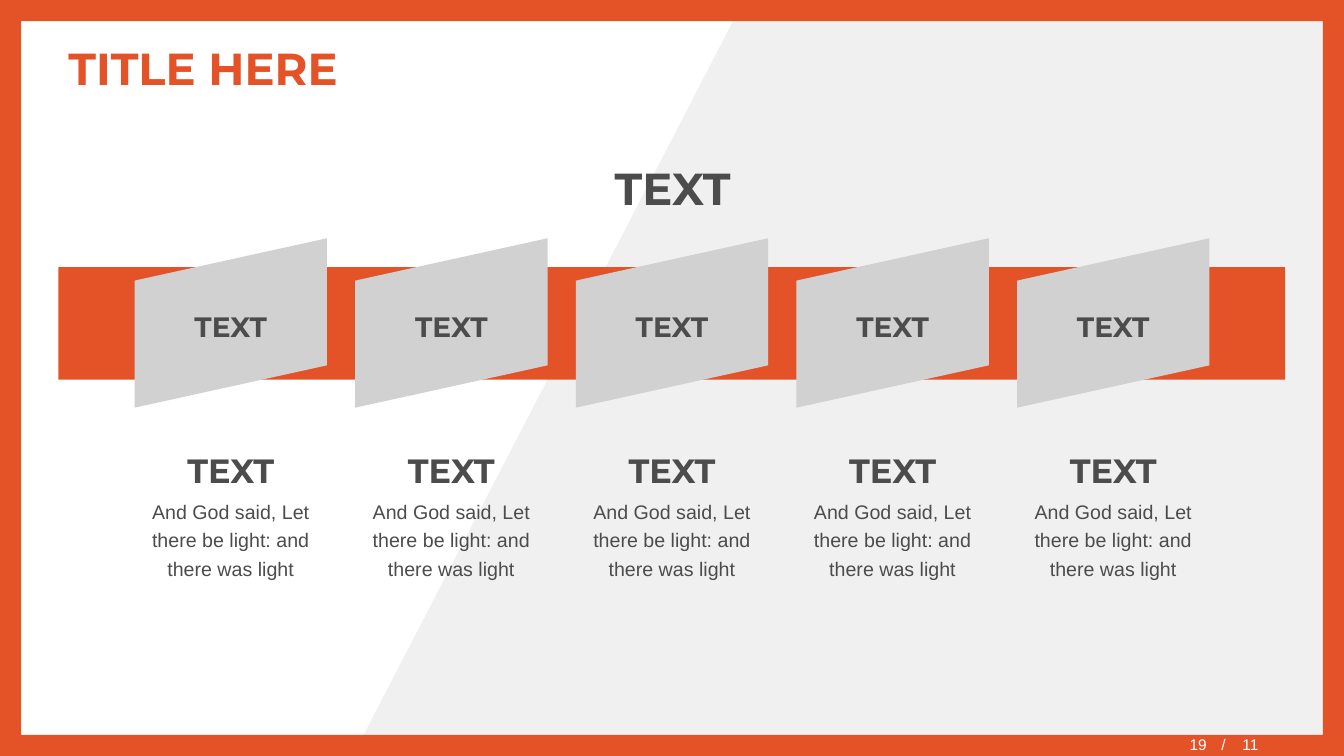
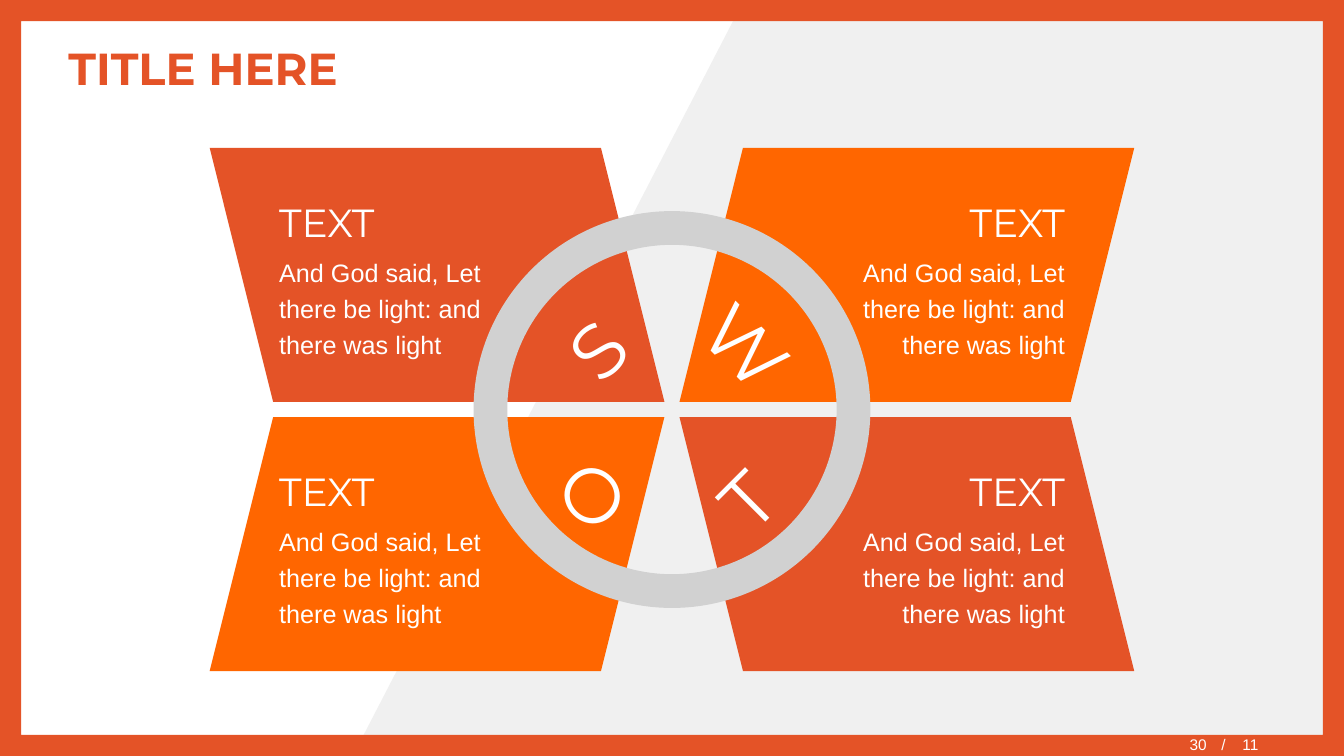
from dataclasses import dataclass
from typing import NamedTuple

from lxml.etree import SubElement
from pptx import Presentation
from pptx.dml.color import RGBColor
from pptx.enum.shapes import MSO_SHAPE
from pptx.enum.text import MSO_ANCHOR, MSO_AUTO_SIZE, PP_ALIGN
from pptx.oxml.ns import qn
from pptx.presentation import Presentation as Deck
from pptx.shapes.autoshape import Shape
from pptx.slide import Slide, SlideLayout
from pptx.text.text import TextFrame, _Paragraph
from pptx.util import Cm, Pt

COLORS = {
    "brand": "E45327",
    "orange": "FF6600",
    "silver": "D1D1D1",
    "mist": "F0F0F0",
    "ink": "4C4C4C",
    "white": "FFFFFF",
}
HEADING_FONT = "Montserrat"
BODY_FONT = "Arial"
VERSE = "And God said, Let there be light: and there was light"

# Shared measures, in centimetres
PAGE_WIDTH, PAGE_HEIGHT = 33.87, 19.05
CENTER_X = PAGE_WIDTH / 2
MARGIN = 1.47


class Box(NamedTuple):
    left: float
    top: float
    width: float
    height: float


@dataclass(frozen=True)
class Style:
    size: int
    color: str
    font: str = HEADING_FONT
    bold: bool = False


@dataclass(frozen=True)
class Line:
    text: str
    style: Style


@dataclass(frozen=True)
class Quadrant:
    letter: str
    letter_box: Box
    letter_angle: int
    color: str
    right: bool
    bottom: bool


TITLE = Style(32, "brand", bold=True)
PAGE_NUMBER = Style(11, "white", BODY_FONT)


# Drawing helpers
def add_span(para: _Paragraph, line: Line) -> None:
    span = para.add_run()
    span.text = line.text
    span.font.size = Pt(line.style.size)
    span.font.name = line.style.font
    span.font.bold = line.style.bold
    span.font.color.rgb = RGBColor.from_string(COLORS[line.style.color])


def write(frame: TextFrame, lines: list[Line], align: PP_ALIGN) -> None:
    for index, line in enumerate(lines):
        para = frame.add_paragraph() if index else frame.paragraphs[0]
        para.alignment = align
        para.line_spacing = 1.2
        para.space_before = Pt(2 if index else 0)
        para.space_after = Pt(2)
        add_span(para, line)


def add_text(page: Slide, box: Box, lines: list[Line], align: PP_ALIGN = PP_ALIGN.LEFT,
             wrap: bool = True, anchor: MSO_ANCHOR = MSO_ANCHOR.TOP) -> Shape:
    text_box = page.shapes.add_textbox(*map(Cm, box))
    frame = text_box.text_frame
    frame.word_wrap = wrap
    frame.auto_size = MSO_AUTO_SIZE.SHAPE_TO_FIT_TEXT
    frame.vertical_anchor = anchor
    write(frame, lines, align)
    return text_box


def paint(shape: Shape, color: str) -> None:
    shape.shadow.inherit = False
    shape.fill.solid()
    shape.fill.fore_color.rgb = RGBColor.from_string(COLORS[color])
    shape.line.fill.background()


def add_block(page: Slide, kind: MSO_SHAPE, box: Box, color: str,
              flip_h: bool = False, flip_v: bool = False) -> Shape:
    block = page.shapes.add_shape(kind, *map(Cm, box))
    paint(block, color)
    for name, flipped in (("flipH", flip_h), ("flipV", flip_v)):
        if flipped:
            block.element.spPr.xfrm.set(name, "1")
    return block


# Shared backdrop, title and page number
def dress_layout(layout: SlideLayout, page: Slide) -> None:
    """Draw the backdrop on a page, then move it behind everything in the layout."""
    outline = page.shapes.build_freeform(Cm(18.75), 0)
    outline.add_line_segments([
        (Cm(PAGE_WIDTH), 0), (Cm(PAGE_WIDTH), Cm(PAGE_HEIGHT)), (Cm(8.89), Cm(PAGE_HEIGHT)),
    ])
    wedge = outline.convert_to_shape()
    paint(wedge, "mist")
    border = add_block(page, MSO_SHAPE.FRAME, Box(0, 0, PAGE_WIDTH, PAGE_HEIGHT), "brand")
    border.adjustments[0] = 0.028
    for index, shape in enumerate((wedge, border)):
        shape.element.nvSpPr.cNvPr.set("id", str(101 + index))
        layout.shapes.element.insert(2 + index, shape.element)

    title = layout.placeholders[0]
    title.left, title.top, title.width, title.height = map(Cm, (MARGIN, 0.71, 30.94, 2.01))


def add_title(page: Slide) -> None:
    frame = page.shapes.title.text_frame
    frame.auto_size = MSO_AUTO_SIZE.NONE
    frame.vertical_anchor = MSO_ANCHOR.MIDDLE
    para = frame.paragraphs[0]
    para.alignment = PP_ALIGN.LEFT
    add_span(para, Line("TITLE HERE", TITLE))


def add_page_number(page: Slide, number: int) -> None:
    parts = (
        (Box(30.53, 18.54, 3.33, 0.46), "/\t11", PP_ALIGN.LEFT),
        (Box(24.08, 18.59, 6.58, 0.46), str(number), PP_ALIGN.RIGHT),
    )
    for box, text, align in parts:
        frame = page.shapes.add_textbox(*map(Cm, box)).text_frame
        frame.word_wrap = True
        frame.vertical_anchor = MSO_ANCHOR.MIDDLE
        para = frame.paragraphs[0]
        para.alignment = align
        if "\t" in text:
            tabs = SubElement(para._p.get_or_add_pPr(), qn("a:tabLst"))
            SubElement(tabs, qn("a:tab"), pos=str(Cm(0.53)), algn="l")
        else:
            frame.margin_top = 0
        add_span(para, Line(text, PAGE_NUMBER))


# Five panels on a band
def build_panels(page: Slide) -> None:
    count, pitch = 5, 5.56
    middle_y = 8.14
    width, height = 4.27, 4.85
    caption_width = 4.88
    centers = [CENTER_X + (index - (count - 1) / 2) * pitch for index in range(count)]
    caption = [Line("TEXT", Style(24, "ink", bold=True)),
               Line(VERSE, Style(14, "ink", BODY_FONT))]

    add_block(page, MSO_SHAPE.RECTANGLE, Box(MARGIN, 6.73, 30.92, 2.84), "brand")
    add_text(page, Box(14.6, 3.43, 4.7, 2.31), [Line("TEXT", Style(32, "ink", bold=True))],
             PP_ALIGN.CENTER, wrap=False, anchor=MSO_ANCHOR.MIDDLE)
    for center in centers:
        panel = add_block(page, MSO_SHAPE.PARALLELOGRAM,
                          Box(center - width / 2, middle_y - height / 2, width, height),
                          "silver", flip_v=True)
        panel.rotation = 270
        frame = panel.text_frame
        frame.vertical_anchor = MSO_ANCHOR.MIDDLE
        frame._txBody.bodyPr.set("vert", "vert270")
        write(frame, [Line("TEXT", Style(20, "ink", bold=True))], PP_ALIGN.CENTER)
    for center in centers:
        add_text(page, Box(center - caption_width / 2, 11, caption_width, 5.49),
                 caption, PP_ALIGN.CENTER)


# Four quadrants around a ring
QUADRANTS = [
    Quadrant("S", Box(14.02, 7.04, 1.9, 3.02), 315, "brand", False, False),
    Quadrant("W", Box(17.7, 6.96, 2.44, 3.02), 45, "orange", True, False),
    Quadrant("O", Box(14.1, 10.77, 2.11, 3.02), 45, "orange", False, True),
    Quadrant("T", Box(17.83, 10.8, 1.9, 3.02), 315, "brand", True, True),
]


def build_swot(page: Slide) -> None:
    middle_y, half_gap = 10.32, 0.19
    width, height = 11.46, 6.4
    text_width, text_inset = 6.35, 1.5
    ring = 10
    lines = [Line("TEXT", Style(28, "white")), Line(VERSE, Style(18, "white", BODY_FONT))]

    def panel_box(part: Quadrant) -> Box:
        left = CENTER_X + half_gap if part.right else CENTER_X - half_gap - width
        top = middle_y + half_gap if part.bottom else middle_y - half_gap - height
        return Box(left, top, width, height)

    for part in QUADRANTS:
        add_block(page, MSO_SHAPE.PARALLELOGRAM, panel_box(part), part.color,
                  flip_h=part.right, flip_v=not part.bottom)
    donut = add_block(page, MSO_SHAPE.DONUT,
                      Box(CENTER_X - ring / 2, middle_y - ring / 2, ring, ring), "silver")
    donut.adjustments[0] = 0.085
    for part in QUADRANTS:
        panel = panel_box(part)
        inset = width - text_inset - text_width if part.right else text_inset
        add_text(page, Box(panel.left + inset, panel.top + 0.9, text_width, 4.6), lines,
                 PP_ALIGN.RIGHT if part.right else PP_ALIGN.LEFT)
        letter = add_text(page, part.letter_box, [Line(part.letter, Style(54, "white"))],
                          wrap=False)
        letter.rotation = part.letter_angle


def main() -> None:
    deck: Deck = Presentation()
    deck.slide_width, deck.slide_height = Cm(PAGE_WIDTH), Cm(PAGE_HEIGHT)
    layout = deck.slide_layouts.get_by_name("Title Only")
    for index, (number, build) in enumerate(((19, build_panels), (30, build_swot))):
        page = deck.slides.add_slide(layout)
        if index == 0:
            dress_layout(layout, page)
        add_title(page)
        build(page)
        add_page_number(page, number)
    deck.save("out.pptx")


if __name__ == "__main__":
    main()
